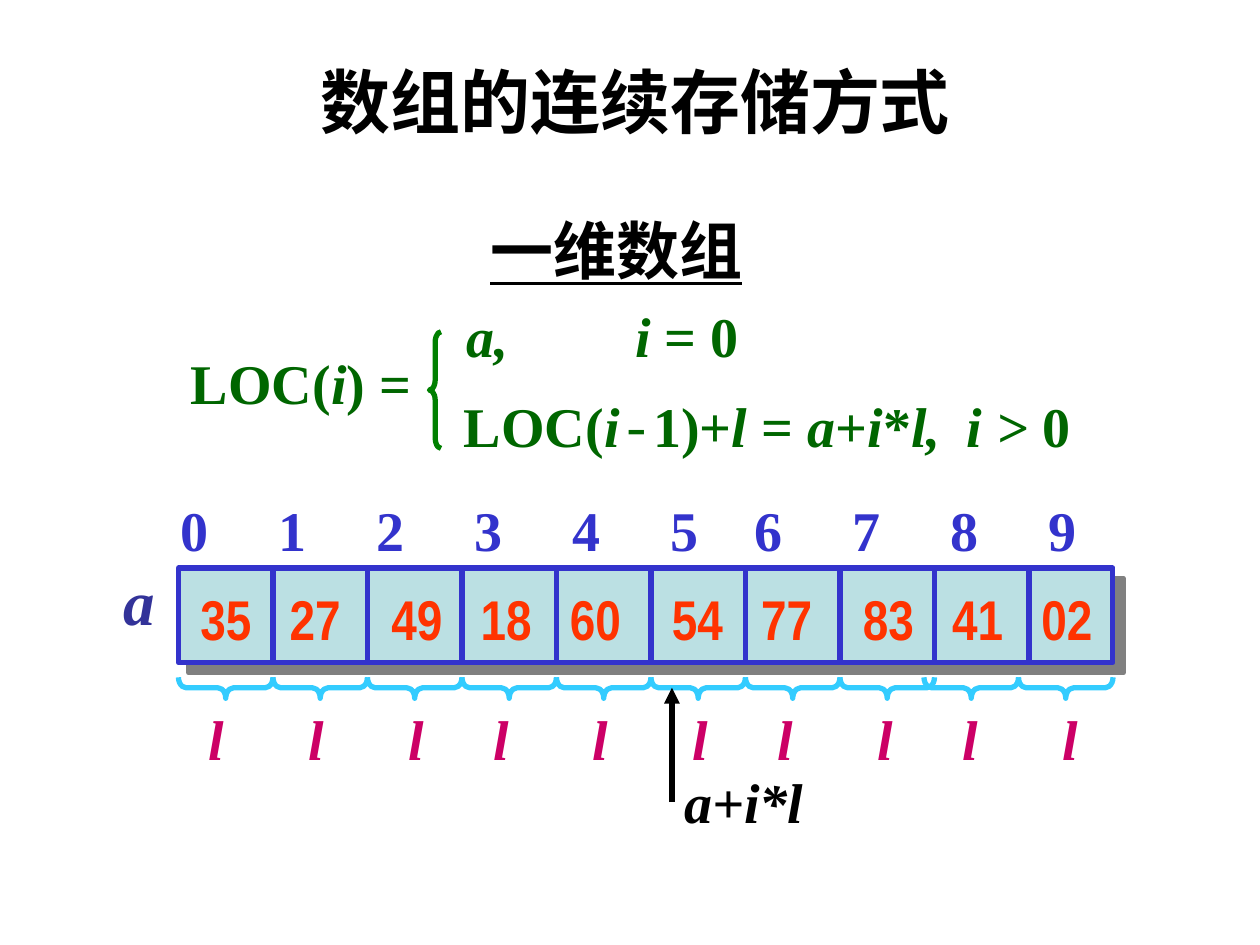
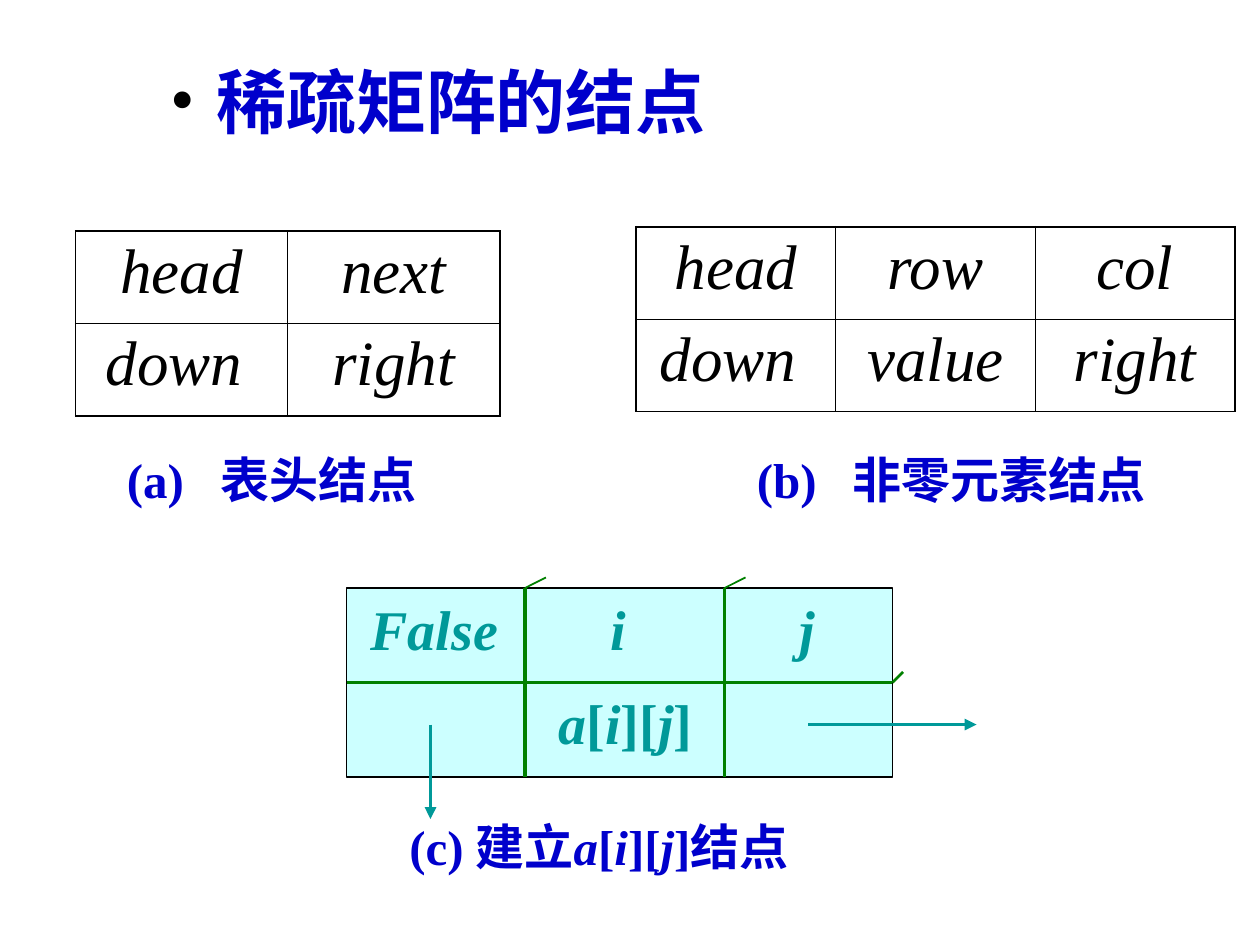
from dataclasses import dataclass, field
from itertools import accumulate

from lxml.etree import SubElement
from pptx import Presentation
from pptx.dml.color import RGBColor
from pptx.enum.shapes import MSO_CONNECTOR, MSO_SHAPE
from pptx.enum.text import MSO_ANCHOR, MSO_AUTO_SIZE, PP_ALIGN
from pptx.oxml.ns import qn
from pptx.util import Pt

PX = 7620  # 120 px to the inch
SERIF, SANS, NARROW, MONO = "Times New Roman", "Arial", "Arial Narrow", "Courier New"
HUES = {
    "black": "000000", "leaf": "006600", "green": "008000", "blue": "3333CC",
    "navy": "333399", "royal": "0000CC", "pale": "BBE0E3", "ice": "CCFFFF",
    "red": "FF3300", "sky": "33CCFF", "rose": "CC0066", "teal": "009999",
    "gray": "808080",
}


@dataclass
class Label:
    """Text in a box; every second part between bars is italic."""
    text: str
    box: tuple[int, int, int, int]
    hue: str
    size: int = 32
    face: str = SERIF
    stops: list[int] = field(default_factory=list)


@dataclass
class Line:
    start: tuple[int, int]
    end: tuple[int, int]
    hue: str
    width: float
    arrow: bool = False


@dataclass
class Grid:
    rows: list[list[str]]
    left: int
    top: int
    wide: int
    high: int = 88


def rgb(hue: str) -> RGBColor:
    return RGBColor.from_string(HUES[hue])


def emu(*px: int) -> list[int]:
    return [n * PX for n in px]


def add_hue(node, hue: str) -> None:
    SubElement(node, qn("a:srgbClr"), val=HUES[hue])


def add_run(para, text: str, hue: str, **form) -> None:
    run = para.add_run()
    run.text = text
    for key, val in form.items():
        setattr(run.font, key, val)
    run.font.color.rgb = rgb(hue)


def add_label(slide, label: Label) -> None:
    frame = slide.shapes.add_textbox(*emu(*label.box)).text_frame
    frame.word_wrap = True
    para = frame.paragraphs[0]
    if label.stops:
        tabs = SubElement(para._p.get_or_add_pPr(), qn("a:tabLst"))
        for stop in label.stops:
            SubElement(tabs, qn("a:tab"), pos=str(stop * PX), algn="l")
    for num, part in enumerate(label.text.split("|")):
        if part:
            dash = part == "-"
            add_run(para, part, label.hue, name=MONO if dash else label.face,
                    size=Pt(label.size), bold=not dash, italic=num % 2 == 1)


def add_line(slide, line: Line):
    link = slide.shapes.add_connector(
        MSO_CONNECTOR.STRAIGHT, *emu(*line.start, *line.end))
    link.line.color.rgb = rgb(line.hue)
    link.line.width = Pt(line.width)
    if line.arrow:
        SubElement(link.line._get_or_add_ln(), qn("a:tailEnd"), type="triangle")
    SubElement(link._element.spPr, qn("a:effectLst"))
    return link


def add_form(slide, kind, box: tuple[int, int, int, int], fill: str | None,
             edge: str, width: float):
    form = slide.shapes.add_shape(kind, *emu(*box))
    form.shadow.inherit = False
    if fill:
        form.fill.solid()
        form.fill.fore_color.rgb = rgb(fill)
    else:
        form.fill.background()
    form.line.color.rgb = rgb(edge)
    form.line.width = Pt(width)
    return form


def add_brace(slide, box: tuple[int, int, int, int], hue: str, bend: float,
              turn: int = 0) -> None:
    brace = add_form(slide, MSO_SHAPE.LEFT_BRACE, box, None, hue, 3)
    brace.adjustments[0] = bend
    brace.rotation = turn


def cast_shade(form, hue: str, reach: int) -> None:
    shade = SubElement(form._element.spPr.find(qn("a:effectLst")),
                       qn("a:outerShdw"), dist=str(reach * PX),
                       dir="2700000", algn="ctr", rotWithShape="0")
    add_hue(shade, hue)


def fill_holder(holder, text: str, box: tuple[int, int, int, int], hue: str,
                bullet: bool = False, **form) -> None:
    """Move a placeholder and set its one line of text."""
    holder.left, holder.top, holder.width, holder.height = emu(*box)
    frame = holder.text_frame
    frame.auto_size = MSO_AUTO_SIZE.NONE
    frame.vertical_anchor = MSO_ANCHOR.MIDDLE
    para = frame.paragraphs[0]
    prop = para._p.get_or_add_pPr()
    inset = 44 * PX if bullet else 0
    prop.set("marL", str(inset))
    prop.set("indent", str(-inset))
    if bullet:
        add_hue(SubElement(prop, qn("a:buClr")), "black")
        SubElement(prop, qn("a:buFont"), typeface=SERIF)
        SubElement(prop, qn("a:buChar"), char="•")
    else:
        SubElement(prop, qn("a:buNone"))
    para.alignment = PP_ALIGN.LEFT if bullet else PP_ALIGN.CENTER
    para.space_before = Pt(0)
    add_run(para, text, hue, bold=True, **form)


def rule_cell(cell, outer: dict[str, bool]) -> None:
    """Draw the four borders, heavier on the outside of the grid."""
    prop = cell._tc.get_or_add_tcPr()
    for side, out in outer.items():
        edge = SubElement(prop, qn(f"a:ln{side}"), w=str(Pt(1.08 if out else 0.45)))
        add_hue(SubElement(edge, qn("a:solidFill")), "black")
    cell.fill.background()


def add_grid(slide, grid: Grid) -> None:
    down, across = len(grid.rows), len(grid.rows[0])
    table = slide.shapes.add_table(down, across, *emu(
        grid.left, grid.top, grid.wide * across, grid.high * down)).table
    table.first_row = table.horz_banding = False
    for row, words in enumerate(grid.rows):
        table.rows[row].height = grid.high * PX
        for col, word in enumerate(words):
            cell = table.cell(row, col)
            rule_cell(cell, {"L": col == 0, "R": col == across - 1,
                             "T": row == 0, "B": row == down - 1})
            para = cell.text_frame.paragraphs[0]
            para.alignment = PP_ALIGN.CENTER
            add_run(para, word, "black", name=SERIF, size=Pt(36), italic=True)


def add_array(slide) -> None:
    """Draw the ten cells with their indexes, values and lengths."""
    left, top, cell, count = 170, 541, 90, 10
    bar = add_form(slide, MSO_SHAPE.RECTANGLE, (left, top, 890, cell),
                   "pale", "blue", 3)
    cast_shade(bar, "gray", 14)
    for num in range(1, count):
        spot = left + num * cell
        add_line(slide, Line((spot, top), (spot, top + cell), "blue", 3))
    for num in range(count):
        spot = left + num * cell - (10 if num > 7 else 0)
        add_brace(slide, (spot + 35, 610, 20, cell), "sky", 0.37, 270)

    values = "35 27 49 18 60 54 77 83 41 02".split()
    steps = [85, 97, 85, 85, 97, 85, 97, 85, 85]
    marks = [95, 95, 81, 95, 95, 81, 95, 81, 95]
    index = [93, 94, 93, 93, 94, 80, 93, 93, 94]
    for label in (
        Label("\t".join(values), (179, 551, 890, 77), "red", 32, NARROW,
              list(accumulate(steps))),
        Label("\t".join(map(str, range(count))), (160, 466, 890, 77), "blue",
              stops=list(accumulate(index))),
        Label("|" + "\t".join("l" * count), (187, 665, 890, 77), "rose",
              stops=list(accumulate(marks))),
        Label("|a", (106, 530, 64, 84), "navy", 36),
        Label("|a+i*l", (640, 725, 150, 77), "black"),
    ):
        add_label(slide, label)
    add_line(slide, Line((640, 764), (640, 655), "black", 3, True))


def draw_store(deck) -> None:
    slide = deck.slides.add_slide(deck.slide_layouts[1])
    fill_holder(slide.shapes.title, "数组的连续存储方式", (290, 47, 630, 97),
                "black", name=SANS, size=Pt(40))
    fill_holder(slide.placeholders[1], "一维数组", (372, 192, 430, 90),
                "black", name=SANS, size=Pt(36), underline=True)
    add_brace(slide, (409, 316, 11, 111), "green", 0.89)
    for label in (
        Label("LOC(|i|) =", (170, 326, 270, 78), "leaf"),
        Label("LOC(|i|-||1)+|l| = |a|+|i|*|l,\ti >| 0", (430, 367, 690, 78),
              "leaf", stops=[479]),
        Label("|a,\ti |= 0", (433, 281, 358, 78), "leaf", stops=[160]),
    ):
        add_label(slide, label)
    add_array(slide)


def draw_nodes(deck) -> None:
    slide = deck.slides.add_slide(deck.slide_layouts[5])
    fill_holder(slide.shapes.title, "稀疏矩阵的结点", (150, 50, 590, 91),
                "royal", True, name=SERIF, size=Pt(40))
    add_grid(slide, Grid([["head", "next"], ["down ", "right"]], 72, 220, 202))
    add_grid(slide, Grid([["head", "row", "col"], ["down ", "value", "right"]],
                         606, 216, 190))

    left, top, wide, high = 330, 560, 520, 180
    right, mid, base = left + wide, top + high // 2, top + high
    node = add_form(slide, MSO_SHAPE.RECTANGLE, (left, top, wide, high),
                    "ice", "black", 0.75)
    split = add_line(slide, Line((left, mid), (right, mid), "green", 2.25))
    split.begin_connect(node, 1)
    split.end_connect(node, 3)
    add_line(slide, Line((right, mid), (right + 10, mid - 10), "green", 1.5))
    for spot in (500, 690):
        add_line(slide, Line((spot, top), (spot, base), "green", 2.25))
        add_line(slide, Line((spot, top), (spot + 20, top - 10), "green", 1))
    for start, end in (((410, 690), (410, 780)), ((770, 690), (930, 690))):
        add_line(slide, Line(start, end, "teal", 2.25, True))

    for label in (
        Label("|False", (341, top, 155, 77), "teal"),
        Label("|i", (570, top, 48, 77), "teal"),
        Label("|j", (750, top, 48, 77), "teal"),
        Label("|a|[|i|][|j|]", (520, mid, 165, 77), "teal"),
        Label("(a)\t表头结点\t(b)\t非零元素结点", (109, 422, 1020, 125),
              "royal", 28, stops=[89, 600, 691]),
        Label("(c) 建立|a|[|i|][|j|]结点", (378, 772, 431, 73), "royal", 28),
    ):
        add_label(slide, label)


def main() -> None:
    deck = Presentation()
    deck.slide_width, deck.slide_height = emu(1200, 900)
    draw_store(deck)
    draw_nodes(deck)
    deck.save("out.pptx")


if __name__ == "__main__":
    main()
